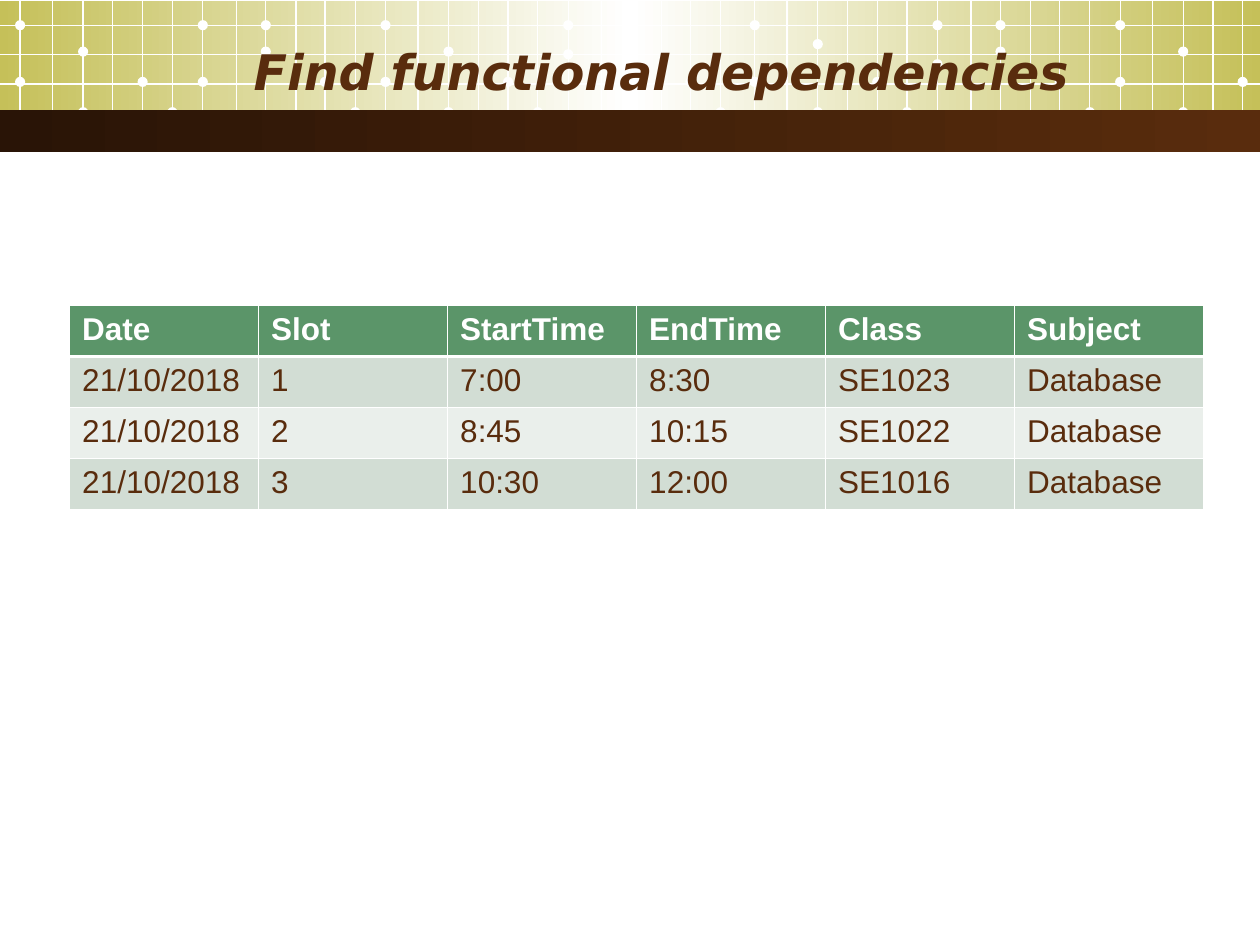
"""Builds the slide on finding functional dependencies in a class timetable."""
import copy

import pptx
import pptx.dml.color
import pptx.enum.shapes
import pptx.enum.text
import pptx.oxml
import pptx.oxml.ns
import pptx.util

Pt = pptx.util.Pt
RGB = pptx.dml.color.RGBColor.from_string
SHAPES = pptx.enum.shapes.MSO_SHAPE
TEXT = pptx.enum.text

HEADING = "Find functional dependencies"
TIMETABLE = [
    ("Date", "Slot", "StartTime", "EndTime", "Class", "Subject"),
    ("21/10/2018", "1", "7:00", "8:30", "SE1023", "Database"),
    ("21/10/2018", "2", "8:45", "10:15", "SE1022", "Database"),
    ("21/10/2018", "3", "10:30", "12:00", "SE1016", "Database"),
]
THEME = {
    "white": "FFFFFF",
    "brown": "592C0D",
    "banner": [(0, "C5C059"), (0.5, "FFFFFF"), (1, "C5C059")],
    "strip": [(0, "291406"), (1, "592C0D")],
    "header": "5B9569",
    "bands": ("D2DDD4", "EAEFEB"),
    "title": {"name": "DejaVu Sans", "size": Pt(28), "bold": True, "italic": True},
    "header_text": {"name": "Arial", "size": Pt(18), "bold": True},
    "body_text": {"name": "Arial", "size": Pt(18), "bold": False},
    "grid_line": 0.75,
    "border": 0.45,
    "header_rule": 1.47,
}

WIDTH, HEIGHT = 720, 540
BLOCK_STARTS = (11.5, 220.3, 431.3, 640.1)
COLUMN_OFFSETS = (0, 18.5, 36, 53, 70, 87, 104.4, 123.5, 140.4, 157.6, 174.2, 191.5)
GRID_ROWS = (14.4, 31, 48, 64.1)
GRID_BOTTOM = 79.2
DOT_SIZE = 5.8
DOT_HEIGHTS = {
    0: (14.4, 46.8), 2: (29.5, 64.1), 4: (46.8,), 5: (64.1,),
    6: (14.4, 46.8), 8: (14.4, 29.5), 10: (46.8,), 11: (64.1,),
}
SHIFTED_DOTS = {(1, 6): (14.4, 31), (2, 6): (14.4, 36.7), (2, 2): (25.2, 64.1)}


def set_font(font, values, color):
    for key, value in values.items():
        setattr(font, key, value)
    font.color.rgb = RGB(color)


def add_gradient_bar(shapes, top, height, stops):
    bar = shapes.add_shape(SHAPES.RECTANGLE, 0, Pt(top), Pt(WIDTH), Pt(height))
    bar.shadow.inherit = False
    bar.line.fill.background()
    bar.fill.gradient()
    bar.fill.gradient_angle = 0
    stop_list = bar.element.find(".//" + pptx.oxml.ns.qn("a:gsLst"))
    while len(stop_list) < len(stops):
        stop_list.append(copy.deepcopy(stop_list[-1]))
    for stop, (position, color) in zip(bar.fill.gradient_stops, stops):
        stop.position = position
        stop.color.rgb = RGB(color)


def add_grid_line(shapes, *ends):
    line = shapes.add_connector(
        pptx.enum.shapes.MSO_CONNECTOR.STRAIGHT, *(Pt(end) for end in ends))
    line.line.color.rgb = RGB(THEME["white"])
    line.line.width = Pt(THEME["grid_line"])
    line.element.spPr.append(
        pptx.oxml.parse_xml(f"<a:effectLst {pptx.oxml.ns.nsdecls('a')}/>"))


def add_dot(shapes, x, y):
    dot = shapes.add_shape(SHAPES.OVAL, Pt(x - DOT_SIZE / 2), Pt(y - DOT_SIZE / 2),
                           Pt(DOT_SIZE), Pt(DOT_SIZE))
    dot.shadow.inherit = False
    dot.fill.solid()
    dot.fill.fore_color.rgb = RGB(THEME["white"])
    dot.line.fill.background()


def add_grid(slide):
    grid = slide.shapes.add_group_shape().shapes
    for block, start in enumerate(BLOCK_STARTS):
        for column, offset in enumerate(COLUMN_OFFSETS):
            x = start + offset
            if x > WIDTH:
                break
            add_grid_line(grid, x, 0, x, GRID_BOTTOM)
            heights = SHIFTED_DOTS.get((block, column), DOT_HEIGHTS.get(column, ()))
            for y in heights:
                add_dot(grid, x, y)
    for y in GRID_ROWS:
        add_grid_line(grid, 0, y, WIDTH, y)


def add_heading(slide):
    heading = slide.shapes.title
    box = {"left": 36, "top": 18, "width": 581.8, "height": 44.6}
    for key, value in box.items():
        setattr(heading, key, Pt(value))
    frame = heading.text_frame
    frame.text = HEADING
    frame.auto_size = TEXT.MSO_AUTO_SIZE.NONE
    frame.vertical_anchor = TEXT.MSO_ANCHOR.MIDDLE
    frame.paragraphs[0].alignment = TEXT.PP_ALIGN.RIGHT
    set_font(frame.paragraphs[0].runs[0].font, THEME["title"], THEME["brown"])
    heading.element.getparent().append(heading.element)


def set_borders(cell, row):
    widths = dict.fromkeys("LRTB", THEME["border"])
    if row < 2:
        widths["B" if row == 0 else "T"] = THEME["header_rule"]
    properties = cell._tc.get_or_add_tcPr()
    for side, width in widths.items():
        properties.append(pptx.oxml.parse_xml(
            f'<a:ln{side} {pptx.oxml.ns.nsdecls("a")} w="{int(Pt(width))}"><a:solidFill>'
            f'<a:srgbClr val="{THEME["white"]}"/></a:solidFill></a:ln{side}>'))


def add_timetable(slide):
    table = slide.shapes.add_table(
        len(TIMETABLE), len(TIMETABLE[0]), Pt(39.8), Pt(174.5), Pt(648), Pt(116.8)).table
    for row, entries in enumerate(TIMETABLE):
        header = row == 0
        fill = THEME["header"] if header else THEME["bands"][(row - 1) % 2]
        for column, entry in enumerate(entries):
            cell = table.cell(row, column)
            cell.text = entry
            set_borders(cell, row)
            cell.fill.solid()
            cell.fill.fore_color.rgb = RGB(fill)
            set_font(cell.text_frame.paragraphs[0].runs[0].font,
                     THEME["header_text" if header else "body_text"],
                     THEME["white" if header else "brown"])


def main():
    deck = pptx.Presentation()
    deck.slide_width, deck.slide_height = Pt(WIDTH), Pt(HEIGHT)
    slide = deck.slides.add_slide(deck.slide_layouts[5])
    add_gradient_bar(slide.shapes, 0.5, 73.5, THEME["banner"])
    add_grid(slide)
    add_gradient_bar(slide.shapes, 63, 24, THEME["strip"])
    add_heading(slide)
    add_timetable(slide)
    deck.save("out.pptx")


if __name__ == "__main__":
    main()
